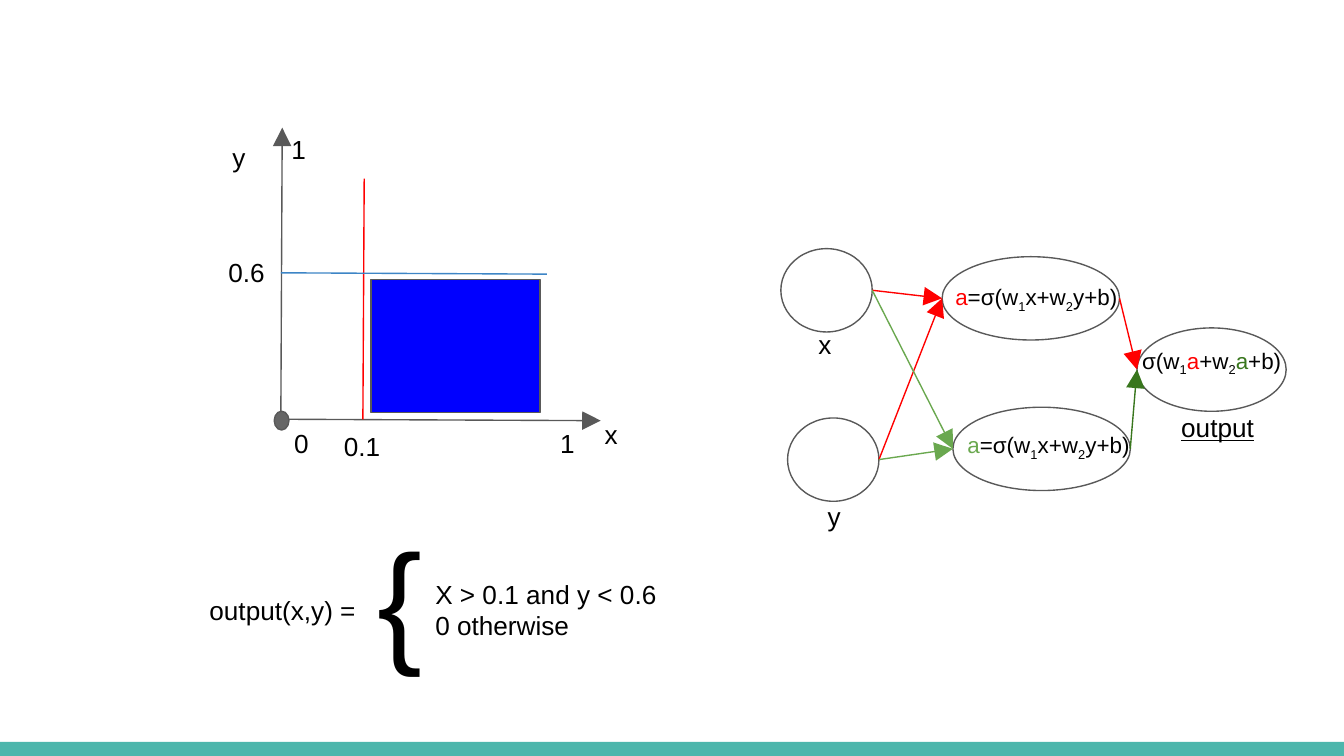
from lxml.etree import SubElement
from pptx import Presentation
from pptx.dml.color import RGBColor
from pptx.enum.shapes import MSO_CONNECTOR, MSO_SHAPE
from pptx.oxml.ns import qn
from pptx.util import Inches, Pt

BLACK = RGBColor(0x00, 0x00, 0x00)
GRAY = RGBColor(0x59, 0x59, 0x59)
DOT_GRAY = RGBColor(0x66, 0x66, 0x66)
RED = RGBColor(0xFF, 0x00, 0x00)
BLUE = RGBColor(0x00, 0x00, 0xFF)
SKY = RGBColor(0x3D, 0x85, 0xC6)
GREEN = RGBColor(0x6A, 0xA8, 0x4F)
DARK_GREEN = RGBColor(0x38, 0x76, 0x1D)
TEAL = RGBColor(0x4D, 0xB6, 0xAC)

# Network: left, top and width of each neuron
NEURON_H = 0.62
NEURONS = {
    "x": (5.81, 1.85, 0.68),
    "y": (5.86, 3.11, 0.68),
    "upper": (7.01, 1.91, 1.32),
    "lower": (7.09, 3.03, 1.32),
    "output": (8.46, 2.44, 1.11),
}
LINKS = [
    ("x", "upper", RED), ("y", "upper", RED),
    ("x", "lower", GREEN), ("y", "lower", GREEN),
    ("upper", "output", RED), ("lower", "output", DARK_GREEN),
]

# Formulas: left, top and runs of text, colour; digits are subscripts
HIDDEN_TAIL = [("=σ(w", BLACK), ("1", BLACK), ("x+w", BLACK),
               ("2", BLACK), ("y+b)", BLACK)]
FORMULAS = [
    (7.01, 2.05, [("a", RED)] + HIDDEN_TAIL),
    (7.10, 3.15, [("a", GREEN)] + HIDDEN_TAIL),
    (8.40, 2.52, [("σ(w", BLACK), ("1", BLACK), ("a", RED), ("+w", BLACK),
                  ("2", BLACK), ("a", DARK_GREEN), ("+b)", BLACK)]),
]

# Labels: lines of text, left, top, width, height, size
LABELS = [
    (["x"], 5.99, 2.34, 0.37, 0.33, 14),
    (["y"], 6.06, 3.62, 0.37, 0.33, 14),
    (["output(x,y) ="], 1.46, 4.32, 1.41, 0.40, 14),
    (["{"], 2.71, 3.73, 0.62, 0.33, 72),
    (["X > 0.1 and y < 0.6", "0 otherwise"], 3.14, 4.20, 2.09, 0.62, 14),
    (["0.6"], 1.60, 1.81, 0.68, 0.24, 14),
    (["y"], 1.63, 0.95, 0.28, 0.24, 14),
    (["0"], 2.09, 3.08, 0.28, 0.24, 14),
    (["1"], 2.07, 0.89, 0.28, 0.24, 14),
    (["x"], 4.40, 3.01, 0.28, 0.24, 14),
    (["1"], 4.07, 3.08, 0.28, 0.24, 14),
    (["0.1"], 2.46, 3.10, 0.68, 0.24, 14),
]

# Plot: start, end, colour, arrowhead
PLOT_LINES = [
    ((2.09, 3.06), (2.10, 0.95), GRAY, True),
    ((2.15, 3.12), (4.47, 3.13), GRAY, True),
    ((2.70, 3.12), (2.71, 1.33), RED, False),
    ((4.07, 2.04), (2.09, 2.03), SKY, False),
]

prs = Presentation()
prs.slide_width = Inches(10)
prs.slide_height = prs.slide_width * 9 // 16
slide = prs.slides.add_slide(prs.slide_layouts[6])


def add_area(preset, left, top, width, height, fill=None, line=GRAY):
    area = slide.shapes.add_shape(
        preset, Inches(left), Inches(top), Inches(width), Inches(height))
    area.shadow.inherit = False
    if fill is None:
        area.fill.background()
    else:
        area.fill.solid()
        area.fill.fore_color.rgb = fill
    if line is None:
        area.line.fill.background()
    else:
        area.line.color.rgb = line
        area.line.width = Pt(0.75)


def add_line(start, end, color, arrow):
    line = slide.shapes.add_connector(
        MSO_CONNECTOR.STRAIGHT, *[Inches(v) for v in (*start, *end)])
    line.line.color.rgb = color
    line.line.width = Pt(0.75)
    if arrow:
        SubElement(line.line._get_or_add_ln(), qn("a:tailEnd"),
                   type="triangle", w="lg", len="lg")
    SubElement(line._element.spPr, qn("a:effectLst"))


def add_text(lines, left, top, width, height, size, underline=None):
    """Each line is a list of (text, colour) runs."""
    frame = slide.shapes.add_textbox(
        Inches(left), Inches(top), Inches(width), Inches(height)).text_frame
    frame.word_wrap = True
    frame.margin_left = frame.margin_right = Inches(0.1)
    frame.margin_top = frame.margin_bottom = Inches(0.1)
    for i, runs in enumerate(lines):
        paragraph = frame.add_paragraph() if i else frame.paragraphs[0]
        paragraph.font.name = "Arial"
        paragraph.font.size = Pt(size)
        paragraph.font.underline = underline
        for text, color in runs:
            run = paragraph.add_run()
            run.text = text
            run.font.color.rgb = color
            if len(runs) > 1 and text.isdigit():
                run._r.get_or_add_rPr().set("baseline", "-25000")


# Footer strip
add_area(MSO_SHAPE.RECTANGLE, 0, 5.52, 10, 0.11, TEAL, None)

# Network, each link running from a right side to a left side
for left, top, width in NEURONS.values():
    add_area(MSO_SHAPE.OVAL, left, top, width, NEURON_H)
for source, target, color in LINKS:
    left, top, width = NEURONS[source]
    target_left, target_top, _ = NEURONS[target]
    add_line((left + width, top + NEURON_H / 2),
             (target_left, target_top + NEURON_H / 2), color, True)
for left, top, runs in FORMULAS:
    add_text([runs], left, top, 1.76, 0.16, 12)
add_text([[("output", BLACK)]], 8.69, 2.96, 1.18, 0.33, 14, underline=True)

# Plot with the region where the output is on
add_area(MSO_SHAPE.RECTANGLE, 2.76, 2.08, 1.26, 0.99, BLUE)
for plot_line in PLOT_LINES:
    add_line(*plot_line)
add_area(MSO_SHAPE.OVAL, 2.04, 3.06, 0.11, 0.14, DOT_GRAY)

# Labels and the rule under the plot
for lines, *place in LABELS:
    add_text([[(text, BLACK)] for text in lines], *place)

prs.save("out.pptx")
